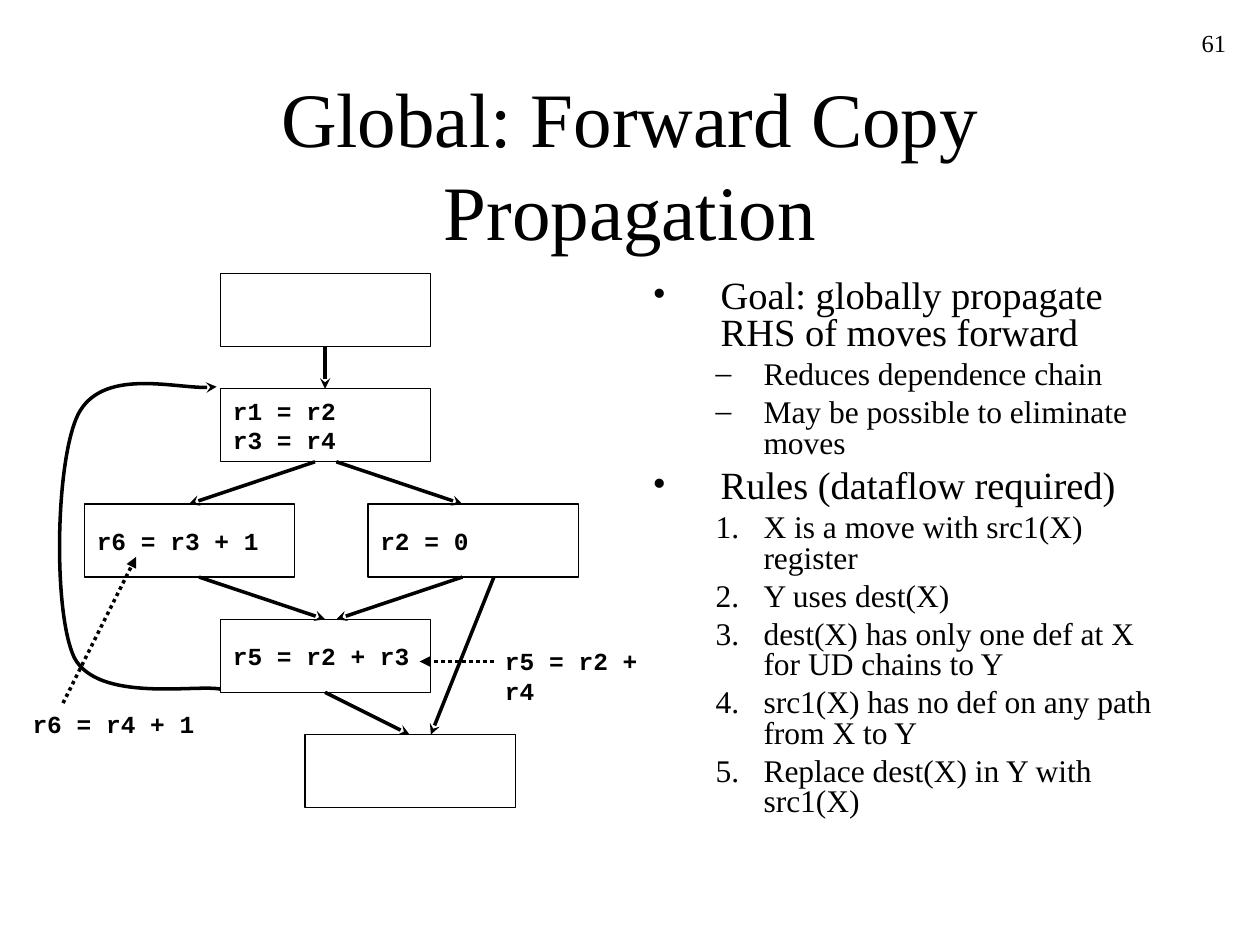
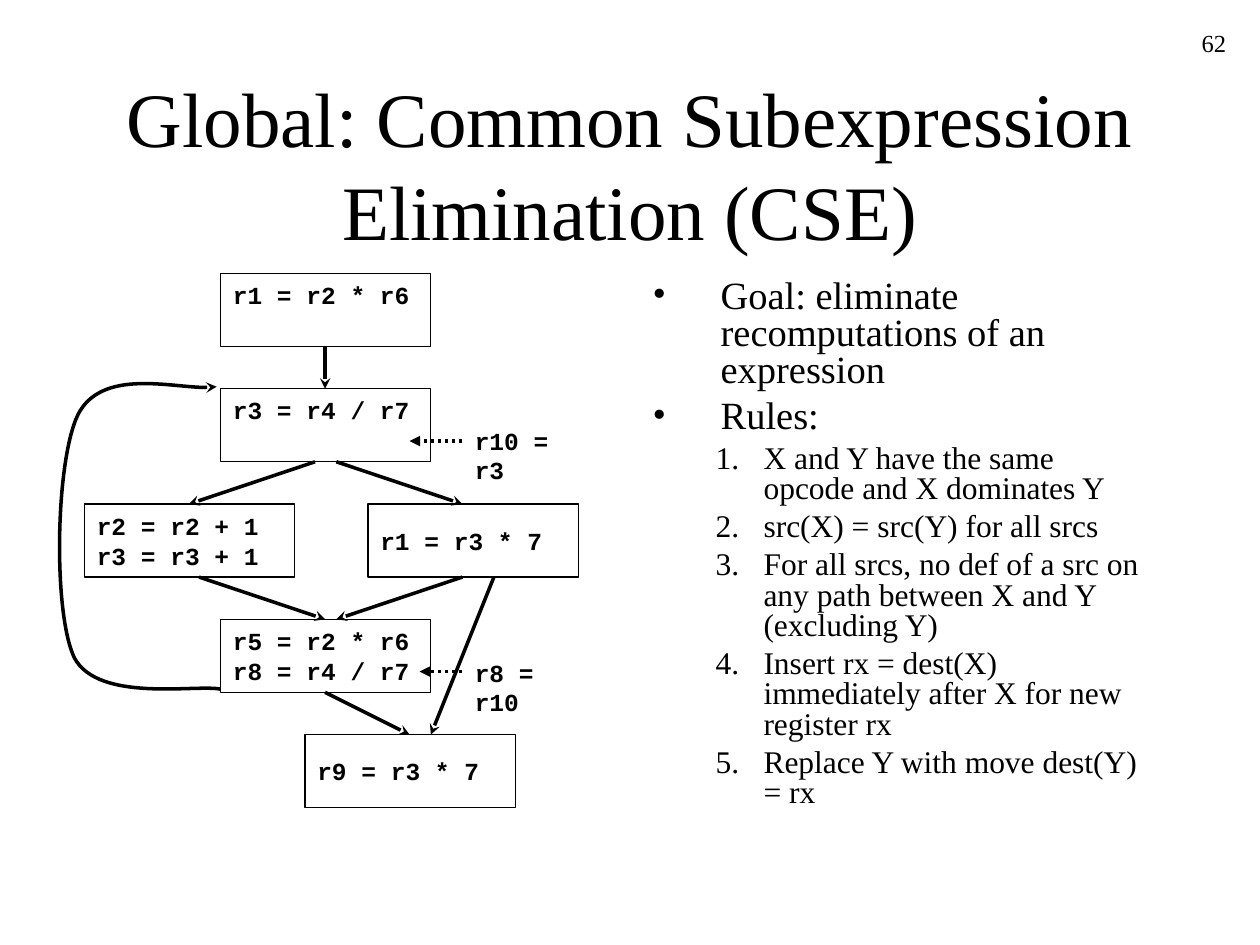
from lxml import etree
from pptx import Presentation
from pptx.dml.color import RGBColor
from pptx.enum.dml import MSO_LINE
from pptx.enum.shapes import MSO_CONNECTOR, MSO_SHAPE
from pptx.enum.text import MSO_ANCHOR, MSO_AUTO_SIZE, PP_ALIGN
from pptx.oxml.ns import qn
from pptx.util import Inches, Pt

RECT, STRAIGHT = MSO_SHAPE.RECTANGLE, MSO_CONNECTOR.STRAIGHT
DOTTED = MSO_LINE.ROUND_DOT
TOP, MIDDLE = MSO_ANCHOR.TOP, MSO_ANCHOR.MIDDLE
LEFT, CENTER, RIGHT = PP_ALIGN.LEFT, PP_ALIGN.CENTER, PP_ALIGN.RIGHT
NO_FIT, GROW = MSO_AUTO_SIZE.NONE, MSO_AUTO_SIZE.SHAPE_TO_FIT_TEXT

INK = "000000"
SERIF, CODE = "Times New Roman", "Courier New"

# Flow graph: five rows of equal blocks
BLOCK_W, BLOCK_H = 1.67, 0.58
FIRST_ROW, ROW_PITCH = 2.17, 0.915
BLOCKS = {  # name: (left, row)
    "entry": (1.75, 0), "header": (1.75, 1), "left": (0.67, 2),
    "right": (2.92, 2), "latch": (1.75, 3), "exit": (2.42, 4),
}
EDGES = [  # (from row, from x, to row, to x)
    (0, 2.58, 1, 2.58), (1, 2.5, 2, 1.5), (1, 2.67, 2, 3.67),
    (2, 1.58, 3, 2.58), (2, 3.67, 3, 2.67), (3, 2.58, 4, 3.25),
    (2, 3.92, 4, 3.42),
]
# Start point, then three points for each Bezier segment
BACK_EDGE = [
    (1.75, 5.47), (1.56, 5.43), (0.78, 5.58), (0.59, 5.22), (0.42, 4.86),
    (0.44, 3.66), (0.62, 3.29), (0.81, 2.92), (1.49, 3.11), (1.72, 3.07),
]

# List kinds: level, size, space before, left margin, hanging indent, mark
LIST_STYLES = {
    "goal": (0, 22, 5.5, 0.54, 0.54, "•"),
    "dash": (1, 18, 4.5, 0.88, 0.38, "–"),
    "rule": (1, 18, 4.5, 0.88, 0.38, None),
}


def rgb(color):
    return RGBColor.from_string(color)


def row_top(row):
    return FIRST_ROW + row * ROW_PITCH


class Deck:
    def __init__(self):
        self.prs = Presentation()
        self.prs.slide_width, self.prs.slide_height = Inches(10), Inches(7.5)
        self.s = None

    def new_slide(self, title, number):
        self.s = self.prs.slides.add_slide(self.prs.slide_layouts[1])
        sp = self.s.shapes.title
        self.place(sp, 0.75, 0.67, 8.5, 1.25)
        self.set_text(sp.text_frame, title, SERIF, 44, CENTER, MIDDLE)
        sp = self.s.shapes.add_textbox(*map(Inches, (7.75, 0.17, 2.08, 0.5)))
        self.set_text(sp.text_frame, number, SERIF, 14, RIGHT)

    def place(self, sp, left, top, width, height):
        sp.left, sp.top = Inches(left), Inches(top)
        sp.width, sp.height = Inches(width), Inches(height)

    def style(self, p, face, size, bold=False):
        p.font.name, p.font.size, p.font.bold = face, Pt(size), bold
        p.font.color.rgb = rgb(INK)

    def set_text(self, tf, text, face, size, align=LEFT, anchor=TOP,
                 bold=False):
        tf.auto_size, tf.word_wrap, tf.vertical_anchor = NO_FIT, True, anchor
        p = tf.paragraphs[0]
        p.text, p.alignment = text, align
        self.style(p, face, size, bold)

    def stroke(self, sp, width, head=None, dash=None):
        sp.line.color.rgb, sp.line.width = rgb(INK), Pt(width)
        if dash:
            sp.line.dash_style = dash
        if head:
            ln = sp._element.spPr.find(qn("a:ln"))
            etree.SubElement(ln, qn("a:tailEnd"), type=head)

    def block(self, name, text, anchor):
        left, row = BLOCKS[name]
        box = map(Inches, (left, row_top(row), BLOCK_W, BLOCK_H))
        sp = self.s.shapes.add_shape(RECT, *box)
        sp.shadow.inherit = False
        sp.fill.background()
        self.stroke(sp, 0.75)
        if text:
            self.set_text(sp.text_frame, text, CODE, 14, anchor=anchor,
                          bold=True)

    def arrow(self, x1, y1, x2, y2, head="stealth", dash=None):
        ends = map(Inches, (x1, y1, x2, y2))
        sp = self.s.shapes.add_connector(STRAIGHT, *ends)
        self.stroke(sp, 2, head, dash)
        etree.SubElement(sp._element.spPr, qn("a:effectLst"))

    def back_edge(self):
        start, *points = [(Inches(x), Inches(y)) for x, y in BACK_EDGE]
        builder = self.s.shapes.build_freeform(*start)
        builder.add_line_segments(points, close=False)
        sp = builder.convert_to_shape()
        # Turn each three line segments into one cubic curve
        segments = list(sp._element.iter(qn("a:lnTo")))
        outline = segments[0].getparent()
        for i in range(0, len(segments), 3):
            curve = etree.SubElement(outline, qn("a:cubicBezTo"))
            for segment in segments[i:i + 3]:
                curve.append(segment[0])
                outline.remove(segment)
        sp.shadow.inherit = False
        sp.fill.background()
        self.stroke(sp, 2, "stealth")

    def flow_graph(self, code, top_aligned=()):
        self.back_edge()
        for name in BLOCKS:
            anchor = TOP if name in top_aligned else MIDDLE
            self.block(name, code.get(name), anchor)
        for row1, x1, row2, x2 in EDGES:
            self.arrow(x1, row_top(row1) + BLOCK_H, x2, row_top(row2))

    def new_code(self, text, left, top, width, arrow):
        """New code beside the graph, with a dotted arrow to its place."""
        box = map(Inches, (left, top, width, 0.34))
        tf = self.s.shapes.add_textbox(*box).text_frame
        self.set_text(tf, text, CODE, 14, bold=True)
        tf.word_wrap, tf.auto_size = False, GROW
        self.arrow(*arrow, head="triangle", dash=DOTTED)

    def outline(self, items):
        sp = self.s.placeholders[1]
        self.place(sp, 5.08, 2.17, 4.17, 4.5)
        tf = sp.text_frame
        tf.auto_size, tf.word_wrap = NO_FIT, True
        for i, (kind, text) in enumerate(items):
            level, size, before, margin, hang, mark = LIST_STYLES[kind]
            p = tf.add_paragraph() if i else tf.paragraphs[0]
            p.text, p.level = text, level
            p.line_spacing, p.space_before = 0.8, Pt(before)
            self.style(p, SERIF, size)
            self.bullet(p, margin, hang, mark)

    def bullet(self, p, margin, hang, mark):
        pPr = p._p.get_or_add_pPr()
        pPr.set("marL", str(Inches(margin)))
        pPr.set("indent", str(-Inches(hang)))
        font = etree.Element(qn("a:buFont"), typeface=SERIF)
        if mark:
            sign = etree.Element(qn("a:buChar"), char=mark)
        else:
            sign = etree.Element(qn("a:buAutoNum"), type="arabicPeriod")
        run_defaults = pPr.find(qn("a:defRPr"))
        run_defaults.addprevious(font)
        run_defaults.addprevious(sign)


def main():
    deck = Deck()

    # Forward copy propagation
    deck.new_slide("Global: Forward Copy Propagation", "61")
    deck.flow_graph({
        "header": "r1 = r2\nr3 = r4",
        "left": "r6 = r3 + 1",
        "right": "r2 = 0",
        "latch": "r5 = r2 + r3",
    })
    deck.outline([
        ("goal", "Goal: globally propagate RHS of moves forward"),
        ("dash", "Reduces dependence chain"),
        ("dash", "May be possible to eliminate moves"),
        ("goal", "Rules (dataflow required)"),
        ("rule", "X is a move with src1(X) register"),
        ("rule", "Y uses dest(X)"),
        ("rule", "dest(X) has only one def at X for UD chains to Y"),
        ("rule", "src1(X) has no def on any path from X to Y"),
        ("rule", "Replace dest(X) in Y with src1(X)"),
    ])
    deck.new_code("r6 = r4 + 1", 0.16, 5.58, 1.49, (0.5, 5.58, 1.08, 4.42))
    deck.new_code("r5 = r2 + r4", 3.91, 5.08, 1.6, (3.92, 5.25, 3.33, 5.25))

    # Common subexpression elimination
    deck.new_slide("Global: Common Subexpression Elimination (CSE)", "62")
    deck.flow_graph({
        "entry": "r1 = r2 * r6",
        "header": "r3 = r4 / r7",
        "left": "r2 = r2 + 1\nr3 = r3 + 1",
        "right": "r1 = r3 * 7",
        "latch": "r5 = r2 * r6\nr8 = r4 / r7",
        "exit": "r9 = r3 * 7",
    }, top_aligned=("entry", "header"))
    deck.outline([
        ("goal", "Goal: eliminate recomputations of an expression"),
        ("goal", "Rules:"),
        ("rule", "X and Y have the same opcode and X dominates Y"),
        ("rule", "src(X) = src(Y) for all srcs"),
        ("rule", "For all srcs, no def of a src on any path between X and Y "
                 "(excluding Y)"),
        ("rule", "Insert rx = dest(X) immediately after X for new register rx"),
        ("rule", "Replace Y with move dest(Y) = rx"),
    ])
    deck.new_code("r8 = r10", 3.67, 5.17, 1.13, (3.67, 5.33, 3.33, 5.33))
    deck.new_code("r10 = r3", 3.67, 3.33, 1.13, (3.67, 3.5, 3.25, 3.5))

    deck.prs.save("out.pptx")


if __name__ == "__main__":
    main()
